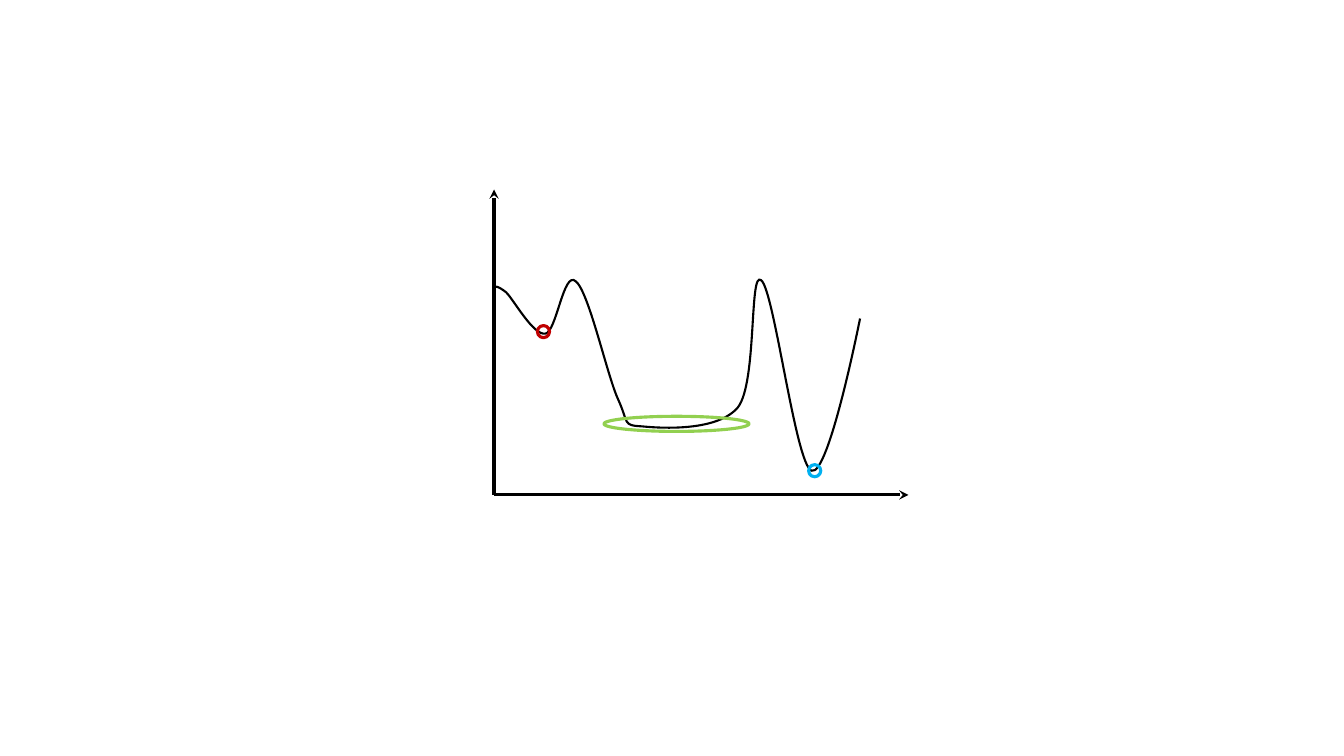
from dataclasses import dataclass

from lxml import etree
from pptx import Presentation
from pptx import util as u
from pptx.dml.color import RGBColor
from pptx.enum import shapes
from pptx.oxml.ns import qn


@dataclass(frozen=True)
class Theme:
    ink: str = "000000"
    local_minimum: str = "C00000"
    global_minimum: str = "00B0F0"
    plateau: str = "92D050"
    bold_line: float = 2.25
    curve_line: float = 1.5


THEME = Theme()
ORIGIN = (4.9, 4.91)
AXIS_ENDS = [(4.9, 1.88), (9.01, 4.91)]

LOSS_START = (4.89, 2.85)
# Each bend: two control points, then the end point
LOSS_BENDS = [
    [(4.91, 2.84), (4.93, 2.83), (5.02, 2.9)],
    [(5.1, 2.98), (5.29, 3.33), (5.41, 3.31)],
    [(5.52, 3.29), (5.59, 2.68), (5.71, 2.79)],
    [(5.84, 2.89), (6.02, 3.72), (6.13, 3.96)],
    [(6.24, 4.2), (6.17, 4.22), (6.37, 4.23)],
    [(6.57, 4.25), (7.12, 4.28), (7.32, 4.04)],
    [(7.51, 3.79), (7.43, 2.67), (7.55, 2.78)],
    [(7.68, 2.88), (7.89, 4.61), (8.05, 4.67)],
    [(8.22, 4.73), (8.53, 3.16), (8.53, 3.16)],
]

MARKERS = [
    ((5.33, 3.23, 0.12, 0.12), THEME.local_minimum),
    ((8.02, 4.61, 0.12, 0.12), THEME.global_minimum),
    ((5.99, 4.13, 1.44, 0.15), THEME.plateau),
]


def set_line(line, color, width):
    line.color.rgb = RGBColor.from_string(color)
    line.width = u.Pt(width)


def outline_only(shape, color, width):
    shape.shadow.inherit = False
    shape.fill.background()
    set_line(shape.line, color, width)


def add_axis(diagram, end):
    axis = diagram.shapes.add_connector(
        shapes.MSO_CONNECTOR.STRAIGHT, *map(u.Inches, ORIGIN + end))
    set_line(axis.line, THEME.ink, THEME.bold_line)
    properties = axis._element.spPr
    etree.SubElement(properties.find(qn("a:ln")), qn("a:tailEnd"), type="stealth")
    etree.SubElement(properties, qn("a:effectLst"))


def bend_segments(curve, bends):
    """Turn each straight segment of the freeform into a cubic Bezier bend."""
    segments = list(curve._element.iter(qn("a:lnTo")))
    for segment, bend in zip(segments, bends):
        cubic = etree.Element(qn("a:cubicBezTo"))
        for x, y in bend:
            etree.SubElement(cubic, qn("a:pt"),
                             x=str(u.Inches(x) - curve.left),
                             y=str(u.Inches(y) - curve.top))
        segment.getparent().replace(segment, cubic)


def add_loss_curve(diagram):
    builder = diagram.shapes.build_freeform(*map(u.Inches, LOSS_START))
    bend_ends = [tuple(map(u.Inches, bend[-1])) for bend in LOSS_BENDS]
    builder.add_line_segments(bend_ends, close=False)
    curve = builder.convert_to_shape()
    bend_segments(curve, LOSS_BENDS)
    outline_only(curve, THEME.ink, THEME.curve_line)


def add_marker(diagram, box, color):
    marker = diagram.shapes.add_shape(shapes.MSO_SHAPE.OVAL, *map(u.Inches, box))
    outline_only(marker, color, THEME.bold_line)


def main():
    deck = Presentation()
    deck.slide_width, deck.slide_height = u.Inches(13.33), u.Inches(7.5)
    slide = deck.slides.add_slide(deck.slide_layouts.get_by_name("Blank"))
    diagram = slide.shapes.add_group_shape()
    for end in AXIS_ENDS:
        add_axis(diagram, end)
    add_loss_curve(diagram)
    for box, color in MARKERS:
        add_marker(diagram, box, color)
    deck.save("out.pptx")


if __name__ == "__main__":
    main()
